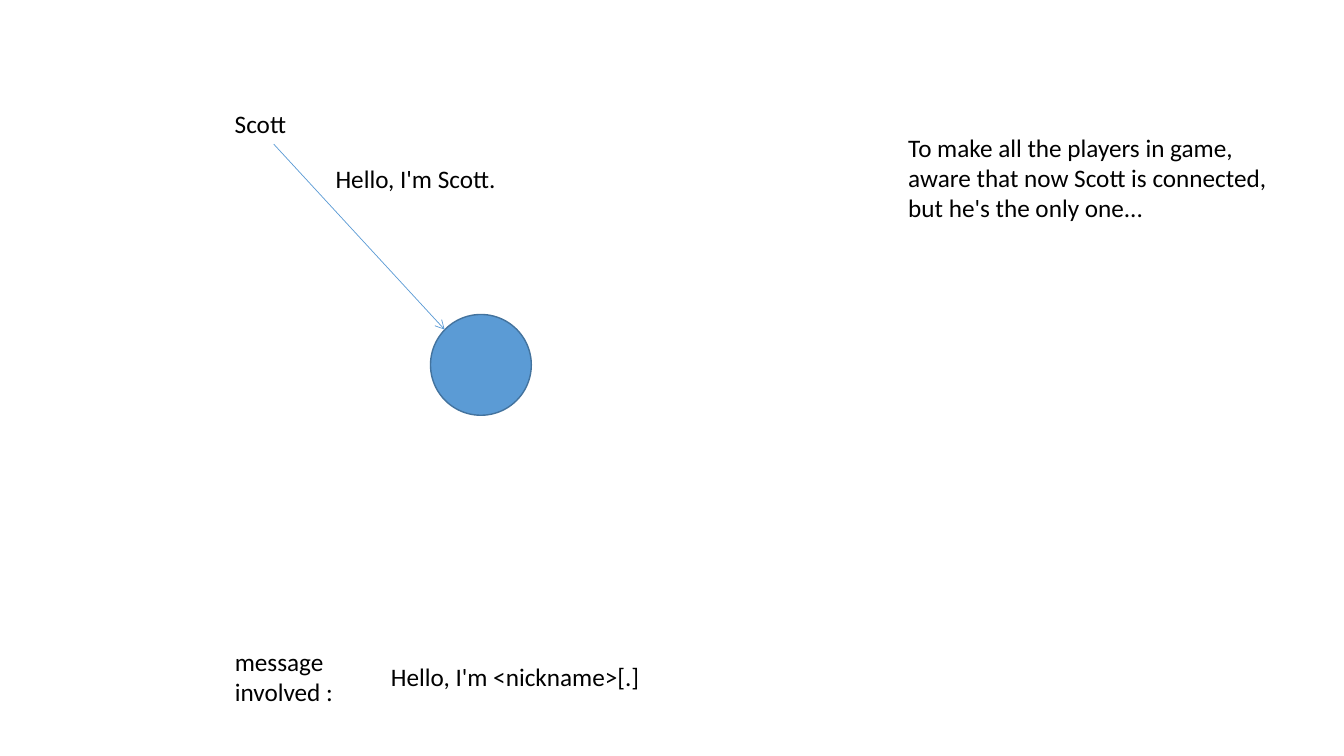
from pptx import Presentation
from pptx.dml.color import RGBColor
from pptx.enum.shapes import MSO_CONNECTOR, MSO_SHAPE
from pptx.enum.text import MSO_AUTO_SIZE
from pptx.oxml.ns import qn
from pptx.util import Inches, Pt
from lxml.etree import SubElement

BLACK = RGBColor(0x00, 0x00, 0x00)
BLUE = RGBColor(0x5B, 0x9B, 0xD5)
DARK_BLUE = RGBColor(0x43, 0x73, 0x9E)


def add_text(p, text, font="Calibri", size=18, color=BLACK):
    r = p.add_run()
    r.text = text
    r.font.name = font
    r.font.size = Pt(size)
    r.font.color.rgb = color


class Diagram:
    """Holds the current slide and draws its elements in one style."""

    def __init__(self, s, fill=BLUE, outline=DARK_BLUE):
        self.s = s
        self.fill = fill
        self.outline = outline

    def label(self, x, y, w, h, *lines):
        sp = self.s.shapes.add_textbox(Inches(x), Inches(y), Inches(w), Inches(h))
        tf = sp.text_frame
        tf.word_wrap = True
        tf.auto_size = MSO_AUTO_SIZE.SHAPE_TO_FIT_TEXT
        for i, line in enumerate(lines):
            p = tf.add_paragraph() if i else tf.paragraphs[0]
            add_text(p, line)
        return sp

    def circle(self, x, y, size):
        sp = self.s.shapes.add_shape(
            MSO_SHAPE.OVAL, Inches(x), Inches(y), Inches(size), Inches(size))
        sp.shadow.inherit = False
        sp.fill.solid()
        sp.fill.fore_color.rgb = self.fill
        sp.line.color.rgb = self.outline
        sp.line.width = Pt(1)
        return sp

    def arrow(self, source, x, y):
        """Arrow from the bottom middle of source to the point x, y."""
        cxn = self.s.shapes.add_connector(
            MSO_CONNECTOR.STRAIGHT, source.left, source.top, Inches(x), Inches(y))
        cxn.begin_connect(source, 2)
        cxn.line.color.rgb = self.fill
        cxn.line.width = Pt(0.5)
        SubElement(cxn.line._get_or_add_ln(), qn("a:tailEnd"), type="arrow")
        SubElement(cxn._element.spPr, qn("a:effectLst"))
        return cxn


def main():
    prs = Presentation()
    prs.slide_width, prs.slide_height = Inches(13.33), Inches(7.5)
    d = Diagram(prs.slides.add_slide(prs.slide_layouts[6]))

    # Player connecting to the server
    scott = d.label(2.23, 1.03, 0.97, 0.4, "Scott")
    d.label(3.23, 1.57, 2.2, 0.4, "Hello, I'm Scott.")
    d.circle(4.27, 3.12, 1)
    d.arrow(scott, 4.41, 3.27)

    # Explanation
    d.label(8.91, 1.26, 4.06, 1.31,
            "To make all the players in game, aware that now Scott is connected, "
            "but he's the only one...")

    # Message format
    d.label(2.23, 6.36, 1.71, 0.71, "message", "involved :")
    d.label(3.78, 6.51, 3.47, 0.4, "Hello, I'm <nickname>[.]")

    prs.save("out.pptx")


if __name__ == "__main__":
    main()
